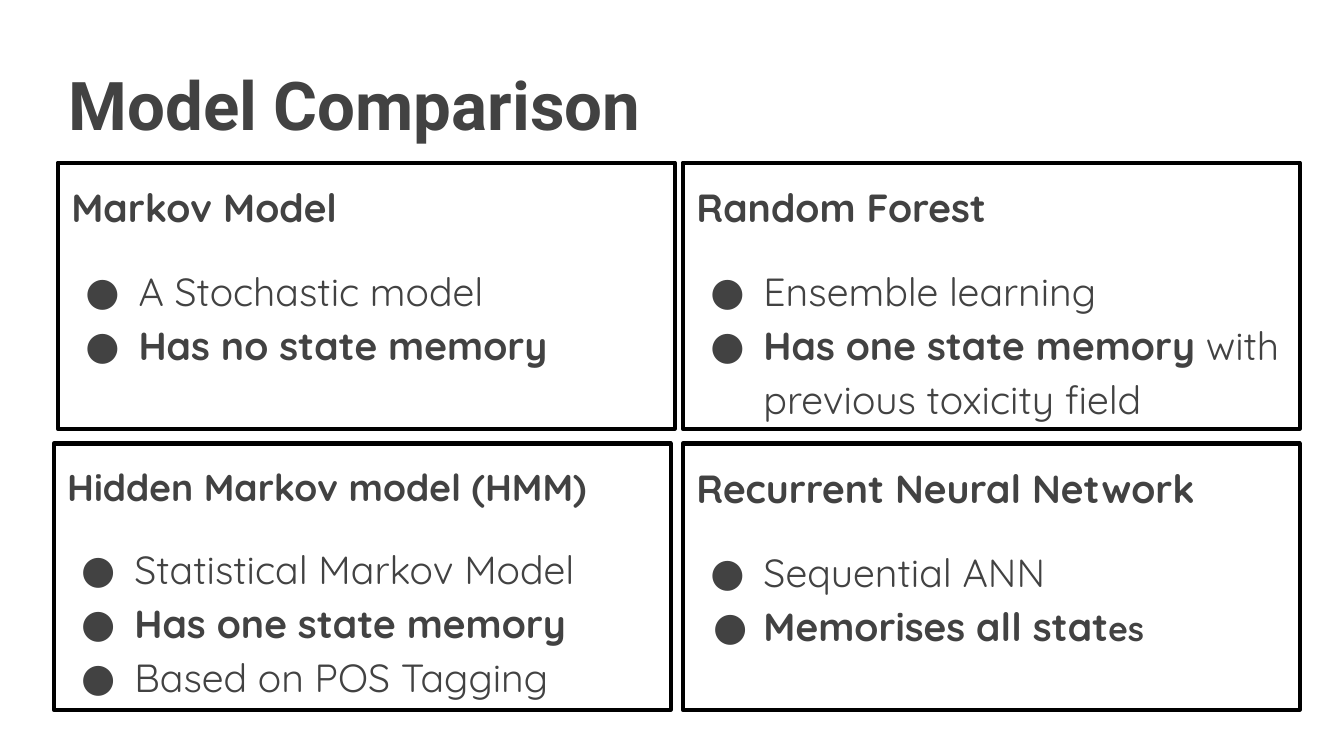
from lxml import etree
from pptx import Presentation
from pptx.dml.color import RGBColor
from pptx.enum import text
from pptx.oxml.ns import qn
from pptx.util import Pt

THEME = dict(ink="424242", line="000000", head="Roboto", body="Quicksand",
             title=36, text=21, small=18, inset=7.2)
TITLE = "Model Comparison"
# Row by row; each run is (words, bold, size or None for the usual size).
CARDS = [
    [[("Markov Model", True, None)],
     [("A Stochastic model", False, None)],
     [("Has no state memory", True, None)]],
    [[("Random Forest", True, None)],
     [("Ensemble learning", False, None)],
     [("Has one state memory", True, None),
      (" with previous toxicity field", False, None)]],
    [[("Hidden Markov model (HMM)", True, 20)],
     [("Statistical Markov Model", False, None)],
     [("Has one state memory", True, None)],
     [("Based on POS Tagging", False, None)]],
    [[("Recurrent Neural Network", True, None)],
     [("Sequential ANN", False, None)],
     [("Memorises all stat", True, None), ("es", True, THEME["small"])]],
]
COLS, ROWS = (31, 365.8), (87.1, 237.6)
CARD_W, CARD_H = 330.5, 142.6
NUDGE = {2: -2.2}  # the third card sits slightly left of its column


def color(name):
    return RGBColor.from_string(THEME[name])


def place(shape, left, top, width, height):
    shape.left, shape.top = Pt(left), Pt(top)
    shape.width, shape.height = Pt(width), Pt(height)
    frame = shape.text_frame
    frame.word_wrap = True
    frame.auto_size = text.MSO_AUTO_SIZE.NONE
    frame.vertical_anchor = text.MSO_ANCHOR.TOP
    for side in ("left", "top", "right", "bottom"):
        setattr(frame, "margin_" + side, Pt(THEME["inset"]))
    return frame


def write(para, words, font="body", size=None, bold=False):
    run = para.add_run()
    run.text = words
    run.font.name = THEME[font]
    run.font.size = Pt(size or THEME["text"])
    run.font.bold = bold
    run.font.color.rgb = color("ink")


def space(para, before=0, line=1.0):
    para.alignment = text.PP_ALIGN.LEFT
    para.space_before, para.space_after = Pt(before), Pt(0)
    para.line_spacing = line


def bullet(para, indent):
    """Give a round bullet, or none when indent is zero."""
    props = para._p.get_or_add_pPr()
    props.set("marL", str(Pt(36 if indent else 0)))
    props.set("indent", str(Pt(-indent)))
    if not indent:
        etree.SubElement(props, qn("a:buNone"))
        return
    tint = etree.SubElement(props, qn("a:buClr"))
    etree.SubElement(tint, qn("a:srgbClr"), val=THEME["ink"])
    etree.SubElement(props, qn("a:buFont"), typeface=THEME["body"])
    etree.SubElement(props, qn("a:buChar"), char="●")


def fill(shape, lines):
    frame = shape.text_frame
    shape.line.color.rgb = color("line")
    shape.line.width = Pt(2.25)
    for row, runs in enumerate(lines):
        para = frame.add_paragraph() if row else frame.paragraphs[0]
        space(para, before=16 if row == 1 else 0, line=1.15)
        mixed = any(size for _, _, size in runs)
        bullet(para, 0 if row == 0 else 27 if mixed else 28.5)
        for words, bold, size in runs:
            write(para, words, size=size, bold=bold)


def main():
    deck = Presentation()
    deck.slide_width, deck.slide_height = Pt(720), Pt(405)
    slide = deck.slides.add_slide(deck.slide_layouts.get_by_name("Comparison"))
    title, *cards = slide.placeholders

    para = place(title, 29.5, 26.6, 405.4, 52.6).paragraphs[0]
    space(para)
    write(para, TITLE, font="head", size=THEME["title"], bold=True)

    for i, (card, lines) in enumerate(zip(cards, CARDS)):
        row, col = divmod(i, len(COLS))
        place(card, COLS[col] + NUDGE.get(i, 0), ROWS[row], CARD_W, CARD_H)
        fill(card, lines)
    deck.save("out.pptx")


if __name__ == "__main__":
    main()
